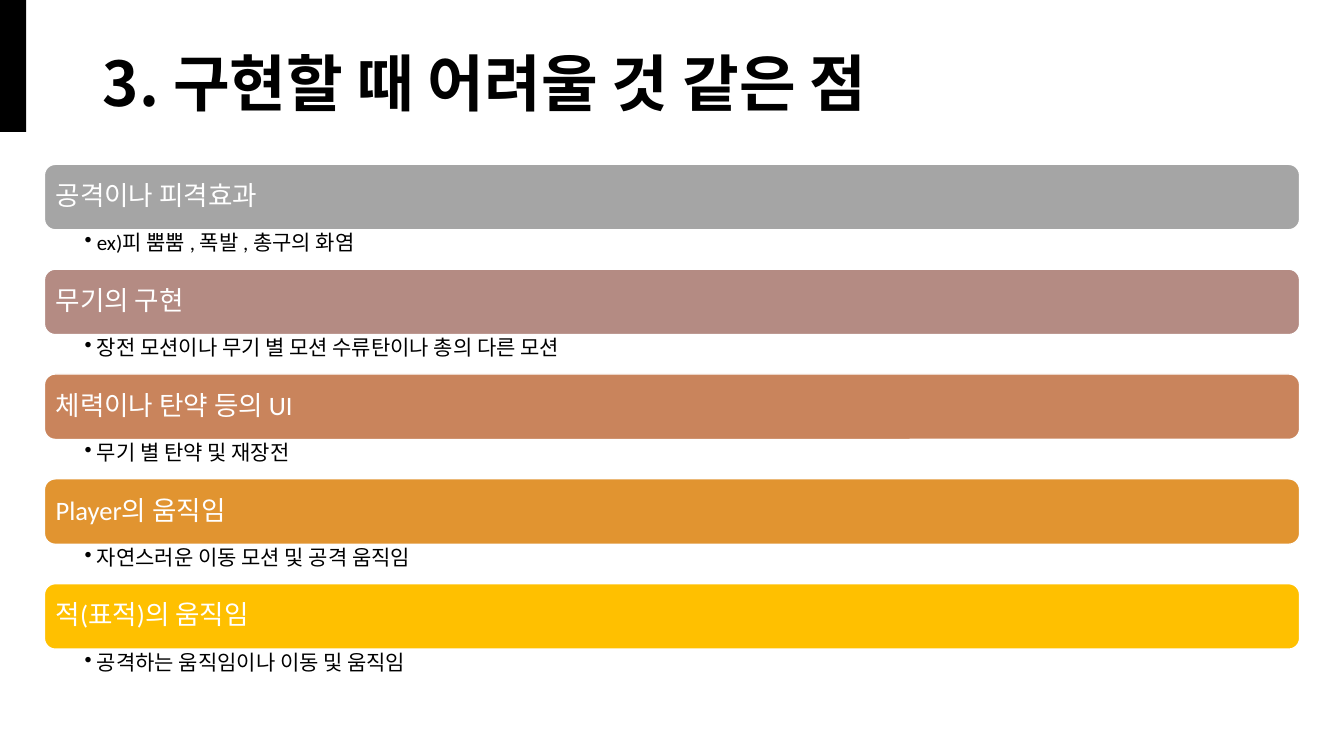
from lxml import etree
from pptx import Presentation
from pptx.dml.color import RGBColor
from pptx.enum.shapes import MSO_SHAPE
from pptx.enum.text import MSO_ANCHOR, PP_ALIGN
from pptx.oxml.ns import qn
from pptx.util import Inches, Pt

RECTANGLE = MSO_SHAPE.RECTANGLE
ROUNDED = MSO_SHAPE.ROUNDED_RECTANGLE
MIDDLE = MSO_ANCHOR.MIDDLE
TOP = MSO_ANCHOR.TOP
LEFT = PP_ALIGN.LEFT

BLACK = RGBColor(0x00, 0x00, 0x00)
WHITE = RGBColor(0xFF, 0xFF, 0xFF)
GRAY = RGBColor(0xA5, 0xA5, 0xA5)
ROSE = RGBColor(0xB4, 0x8B, 0x83)
COPPER = RGBColor(0xC9, 0x84, 0x5C)
ORANGE = RGBColor(0xE1, 0x94, 0x30)
GOLD = RGBColor(0xFF, 0xC0, 0x00)

BODY_FONT = "Calibri"
KOREAN_FONT = "Noto Sans CJK KR"

SLIDE_WIDTH, SLIDE_HEIGHT = 13.33, 7.5
LIST_LEFT, LIST_TOP, LIST_WIDTH = 0.44, 1.63, 12.45
BAND_HEIGHT, DETAIL_HEIGHT = 0.65, 0.39
ROW_HEIGHT = BAND_HEIGHT + DETAIL_HEIGHT

DIFFICULTIES = [
    ("공격이나 피격효과", "ex)피 뿜뿜 , 폭발 , 총구의 화염", GRAY),
    ("무기의 구현", "장전 모션이나 무기 별 모션 수류탄이나 총의 다른 모션", ROSE),
    ("체력이나 탄약 등의 UI", "무기 별 탄약 및 재장전", COPPER),
    ("Player의 움직임", "자연스러운 이동 모션 및 공격 움직임", ORANGE),
    ("적(표적)의 움직임", "공격하는 움직임이나 이동 및 움직임", GOLD),
]


def add_block(slide, preset, box, fill, outline=None):
    block = slide.shapes.add_shape(preset, *map(Inches, box))
    block.shadow.inherit = False
    block.fill.solid()
    block.fill.fore_color.rgb = fill
    if outline is None:
        block.line.fill.background()
    else:
        block.line.color.rgb = outline
        block.line.width = Pt(1)
    return block


def write_line(holder, wording, size, color, insets, anchor=MIDDLE,
               font=BODY_FONT, bold=False):
    frame = holder.text_frame
    frame.word_wrap = True
    frame.vertical_anchor = anchor
    (frame.margin_left, frame.margin_top,
     frame.margin_right, frame.margin_bottom) = map(Inches, insets)
    line = frame.paragraphs[0]
    line.alignment = LEFT
    line.line_spacing = 0.9
    run = line.add_run()
    run.text = wording
    run.font.name = font
    run.font.size = Pt(size)
    run.font.bold = bold
    run.font.color.rgb = color
    east_asian = etree.SubElement(run.font._element, qn("a:ea"))
    east_asian.set("typeface", KOREAN_FONT)
    return line


def add_bullet(line, indent):
    properties = line._p.get_or_add_pPr()
    properties.set("marL", str(Inches(indent)))
    properties.set("indent", str(-Inches(indent)))
    etree.SubElement(properties, qn("a:buChar")).set("char", "•")


def add_title(slide, wording):
    title = slide.shapes.add_textbox(*map(Inches, (0.92, 0.4, 11.5, 0.91)))
    write_line(title, wording, 44, BLACK, (0.1, 0.05, 0.1, 0.05),
               font=KOREAN_FONT, bold=True)


def add_difficulty(slide, row, heading, detail, color):
    top = LIST_TOP + row * ROW_HEIGHT
    band = add_block(slide, ROUNDED, (LIST_LEFT, top, LIST_WIDTH, BAND_HEIGHT),
                     color, WHITE)
    write_line(band, heading, 19, WHITE, (0.08,) * 4)
    detail_box = (LIST_LEFT, top + BAND_HEIGHT, LIST_WIDTH, DETAIL_HEIGHT)
    note = slide.shapes.add_textbox(*map(Inches, detail_box))
    line = write_line(note, detail, 15, BLACK, (0.4, 0.03, 0.15, 0.03), TOP)
    add_bullet(line, 0.12)


def main():
    deck = Presentation()
    deck.slide_width = Inches(SLIDE_WIDTH)
    deck.slide_height = Inches(SLIDE_HEIGHT)
    slide = deck.slides.add_slide(deck.slide_layouts[6])
    add_block(slide, RECTANGLE, (0, 0, 0.26, 1.31), BLACK)
    add_title(slide, "3. 구현할 때 어려울 것 같은 점")
    for row, difficulty in enumerate(DIFFICULTIES):
        add_difficulty(slide, row, *difficulty)
    deck.save("out.pptx")


main()
